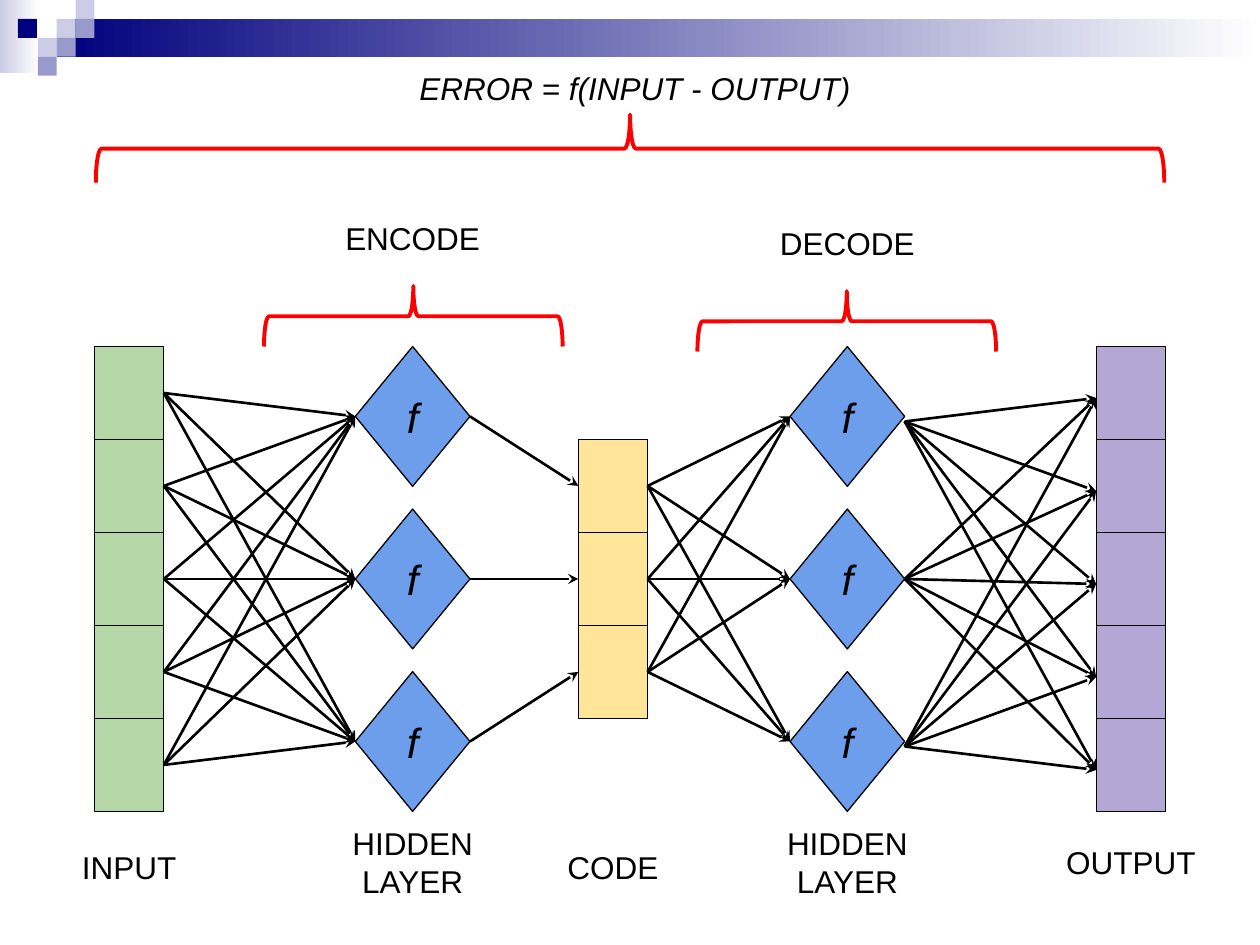
from itertools import product
from lxml import etree
from pptx import Presentation
from pptx.dml.color import RGBColor as RGB
from pptx.enum.shapes import MSO_CONNECTOR as CONN, MSO_SHAPE as SHAPE
from pptx.enum.text import MSO_ANCHOR as ANCHOR, PP_ALIGN as ALIGN
from pptx.oxml.ns import qn
from pptx.util import Inches, Pt

COLORS = {
    "navy": "00007D", "lilac": "CCCCE6", "violet": "9999CC", "white": "FFFFFF",
    "input": "B6D7A8", "hidden": "6D9EEB", "code": "FFE599", "output": "B4A7D6",
    "black": "000000", "red": "FF0000",
}
RGBS = {name: RGB.from_string(value) for name, value in COLORS.items()}

# Grid of the network: column lefts, five cell rows, three diamond rows
COLS = {"input": 0.75, "encode": 2.82, "code": 4.59, "decode": 6.27, "output": 8.7}
TOP, BOTTOM = 2.75, 6.44
CELL_W, CELL_H = 0.55, (BOTTOM - TOP) / 5
DIA_W, DIA_H = 0.91, 1.11
DIA_STEP = (BOTTOM - TOP - DIA_H) / 2
SQUARE = 0.15
SHIFT = 0.04  # drop of the output arrows below the cell centres

prs = Presentation()
prs.slide_width, prs.slide_height = Inches(10), Inches(7.5)
slide = prs.slides.add_slide(prs.slide_layouts[6])


def add_shape(kind, x, y, w, h, fill=None, line=None, weight=0.75):
    s = slide.shapes.add_shape(kind, Inches(x), Inches(y), Inches(w), Inches(h))
    s.shadow.inherit = False
    if isinstance(fill, tuple):
        s.fill.gradient()
        s.fill.gradient_angle = 0
        for stop, color in zip(s.fill.gradient_stops, fill):
            stop.color.rgb = RGBS[color]
    elif fill:
        s.fill.solid()
        s.fill.fore_color.rgb = RGBS[fill]
    else:
        s.fill.background()
    if line:
        s.line.color.rgb = RGBS[line]
        s.line.width = Pt(weight)
    else:
        s.line.fill.background()
    return s


def write(s, text, size=18, italic=False, anchor=ANCHOR.TOP):
    tf = s.text_frame
    frame = {"word_wrap": True, "vertical_anchor": anchor}
    frame.update({f"margin_{side}": Inches(0.1) for side in ("left", "right", "top", "bottom")})
    for name, value in frame.items():
        setattr(tf, name, value)
    p = tf.paragraphs[0]
    p.alignment = ALIGN.CENTER
    r = p.add_run()
    r.text = text
    for name, value in {"name": "Arial", "size": Pt(size), "italic": italic}.items():
        setattr(r.font, name, value)
    r.font.color.rgb = RGBS["black"]


# Header band and its squares (column, row, colour)
add_shape(SHAPE.RECTANGLE, 0, 0, 0.31, 0.58, ("lilac", "white"))
add_shape(SHAPE.RECTANGLE, 3 * SQUARE, SQUARE, 9.55, 2 * SQUARE, ("navy", "white"))
for col, row, color in [(3, 1, "lilac"), (4, 0, "lilac"), (4, 1, "violet"), (2, 2, "lilac"),
                        (0.95, 1, "navy"), (3, 2, "violet"), (2, 3, "violet")]:
    add_shape(SHAPE.RECTANGLE, col * SQUARE, row * SQUARE, SQUARE, SQUARE, color)

# Layers of cells and diamonds
layers = {}
for name, rows in {"input": range(5), "code": range(1, 4), "output": range(5)}.items():
    layers[name] = [add_shape(SHAPE.RECTANGLE, COLS[name], TOP + row * CELL_H,
                              CELL_W, CELL_H, name, "black") for row in rows]
for name in ("encode", "decode"):
    layers[name] = [add_shape(SHAPE.DIAMOND, COLS[name], TOP + row * DIA_STEP,
                              DIA_W, DIA_H, "hidden", "black") for row in range(3)]
    for s in layers[name]:
        write(s, "f", 24, True, ANCHOR.MIDDLE)

# Arrows: all pairs between layers, one to one from the encoder to the code
pairs = [*product(layers["input"], layers["encode"]),
         *zip(layers["encode"], layers["code"]),
         *product(layers["code"], layers["decode"]),
         *product(layers["decode"], layers["output"])]
for start, end in pairs:
    y1, y2 = start.top + start.height // 2, end.top + end.height // 2
    to_output = end in layers["output"]
    middle = start is layers["decode"][1]
    if to_output:
        y1 += 0 if middle else Inches(SHIFT)
        y2 += Inches(SHIFT)
    c = slide.shapes.add_connector(CONN.STRAIGHT, start.left + start.width, y1, end.left, y2)
    if not to_output or middle:
        c.begin_connect(start, 3)
    if not to_output:
        c.end_connect(end, 1)
    c.line.color.rgb = RGBS["black"]
    c.line.width = Pt(1.5)
    etree.SubElement(c.line._get_or_add_ln(), qn("a:tailEnd"), type="stealth")
    etree.SubElement(c._element.spPr, qn("a:effectLst"))

# Braces: centre x, centre y, span, depth; a quarter turn opens them downwards
for cx, cy, span, depth in [(3.28, 2.51, 2.37, 0.48), (6.72, 2.55, 2.37, 0.48),
                            (5, 1.18, 8.48, 0.54)]:
    s = add_shape(SHAPE.LEFT_BRACE, cx - depth / 2, cy - span / 2, depth, span,
                  line="red", weight=2.25)
    s.rotation = 90

# Labels
for text, x, y, w, h, italic in [
    ("INPUT", 0.35, 6.63, 1.35, 0.74, False),
    ("HIDDEN LAYER", 2.6, BOTTOM, 1.35, 1.03, False),
    ("CODE", 4.19, 6.63, 1.35, 0.74, False),
    ("HIDDEN LAYER", 6.05, BOTTOM, 1.35, 1.03, False),
    ("OUTPUT", 8.3, 6.59, 1.35, 0.74, False),
    ("ENCODE", 2.6, 1.64, 1.35, 0.74, False),
    ("DECODE", 6.05, 1.68, 1.35, 0.74, False),
    ("ERROR = f(INPUT - OUTPUT)", 2.98, 0.45, 4.12, 0.74, True),
]:
    write(slide.shapes.add_textbox(Inches(x), Inches(y), Inches(w), Inches(h)), text, italic=italic)

prs.save("out.pptx")
